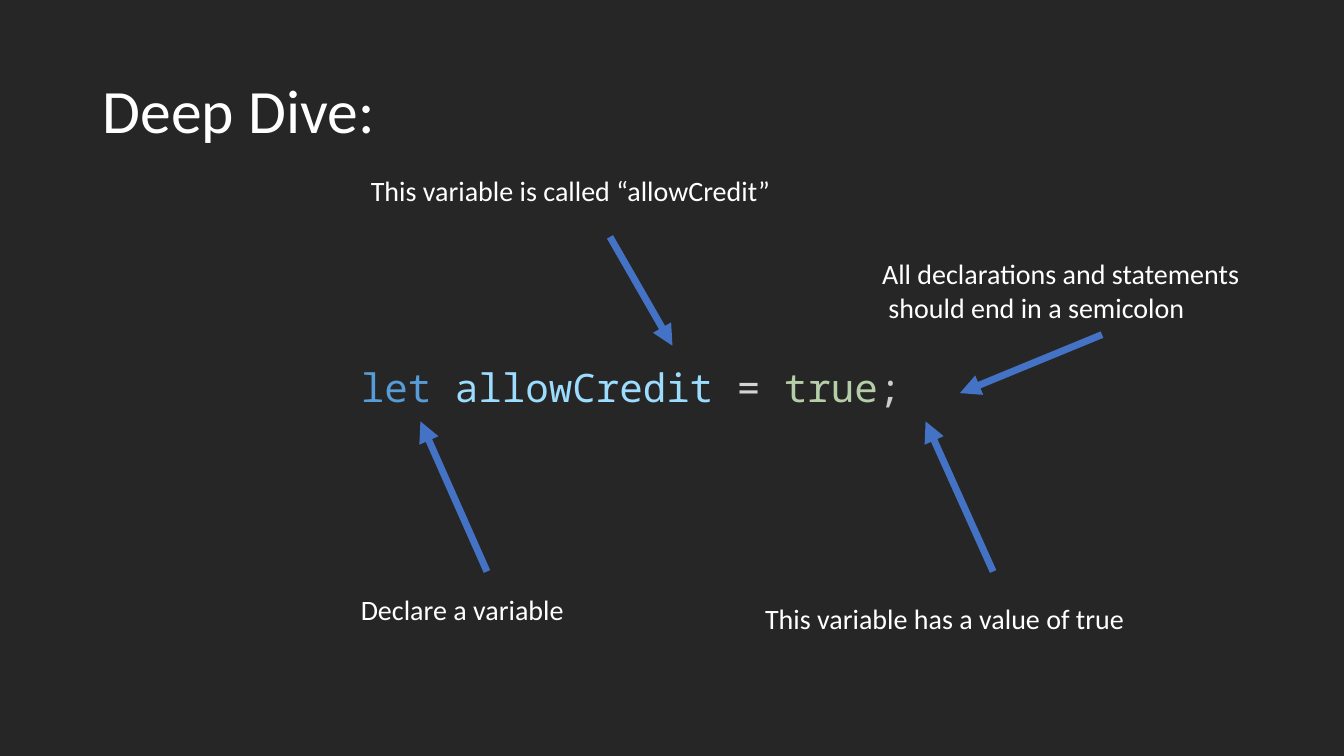
import pptx
import pptx.dml.color
import pptx.enum.dml
import pptx.enum.shapes
import pptx.enum.text
import pptx.oxml
import pptx.oxml.ns
import pptx.util

Inches, Pt = pptx.util.Inches, pptx.util.Pt
RGB = pptx.dml.color.RGBColor.from_string
COLORS = {
    "background": "262626", "text": "FFFFFF", "arrow": "4472C4",
    "keyword": "569CD6", "name": "9CDCFE", "operator": "D4D4D4",
    "value": "B5CEA8", "semicolon": "CCCCCC",
}


def add_runs(p, parts, size, font):
    """Append (text, colour name) parts to a paragraph in one font."""
    for text, color in parts:
        p.add_run().text = text
        r = p.runs[-1]
        for key, value in {"size": Pt(size), "name": font}.items():
            setattr(r.font, key, value)
        r.font.color.rgb = RGB(COLORS[color])


def place(sp, *box):
    for key, value in zip(("left", "top", "width", "height"), box):
        setattr(sp, key, Inches(value))


prs = pptx.Presentation()
prs.slide_width, prs.slide_height = Inches(13.33), Inches(7.5)
s = prs.slides.add_slide(prs.slide_layouts[1])
s.background.fill.solid()
s.background.fill.fore_color.rgb = RGB(COLORS["background"])

# Title and the line of code
code = [("let ", "keyword"), ("allowCredit ", "name"), ("= ", "operator"),
        ("true", "value"), (";", "semicolon")]
anchors = pptx.enum.text.MSO_ANCHOR
for sp, box, anchor, parts, size, font in (
    (s.shapes.title, (0.92, 0.4, 11.5, 1.45), anchors.MIDDLE,
     [("Deep Dive:", "text")], 44, "Calibri"),
    (s.placeholders[1], (3.48, 3.61, 6.37, 0.57), anchors.TOP,
     code, 28, "Noto Sans Mono"),
):
    place(sp, *box)
    tf = sp.text_frame
    tf.vertical_anchor = anchor
    tf.auto_size = pptx.enum.text.MSO_AUTO_SIZE.NONE
    p = tf.paragraphs[0]
    p.alignment = pptx.enum.text.PP_ALIGN.LEFT
    p.line_spacing = 0.9
    add_runs(p, parts, size, font)

p = s.placeholders[1].text_frame.paragraphs[0]
p.space_before = Pt(10)
pPr = p._p.get_or_add_pPr()
pPr.set("marL", "0")
pPr.set("indent", "0")
pPr.append(pptx.oxml.parse_xml(f"<a:buNone {pptx.oxml.ns.nsdecls('a')}/>"))

# Each note: lines of text, its box, and its arrow from start to tip
notes = [
    (["Declare a variable"], (3.48, 5.83, 2.24, 0.44), (4.83, 5.67), (4.17, 4.18)),
    (["This variable is called “allowCredit”"], (3.58, 1.67, 4.2, 0.44),
     (6.05, 2.35), (6.67, 3.43)),
    (["This variable has a value of true"], (7.49, 5.92, 3.8, 0.44),
     (9.85, 5.67), (9.18, 4.18)),
    (["All declarations and statements", " should end in a semicolon"],
     (8.65, 2.5, 3.79, 0.77), (10.93, 3.32), (9.52, 3.9)),
]
for lines, box, start, tip in notes:
    arrow = s.shapes.add_connector(pptx.enum.shapes.MSO_CONNECTOR.STRAIGHT,
                                   *map(Inches, start + tip))
    arrow.line.width = Pt(5)
    arrow.line.color.rgb = RGB(COLORS["arrow"])
    ns = pptx.oxml.ns.nsdecls("a")
    arrow.line._get_or_add_ln().append(
        pptx.oxml.parse_xml(f'<a:tailEnd {ns} type="triangle"/>'))
    arrow._element.spPr.append(pptx.oxml.parse_xml(f"<a:effectLst {ns}/>"))

    tf = s.shapes.add_textbox(*map(Inches, box)).text_frame
    tf.word_wrap = False
    tf.auto_size = pptx.enum.text.MSO_AUTO_SIZE.SHAPE_TO_FIT_TEXT
    p = tf.paragraphs[0]
    for i, line in enumerate(lines):
        if i:
            p.add_line_break()
        add_runs(p, [(line, "text")], 20, "Calibri")

prs.save("out.pptx")
